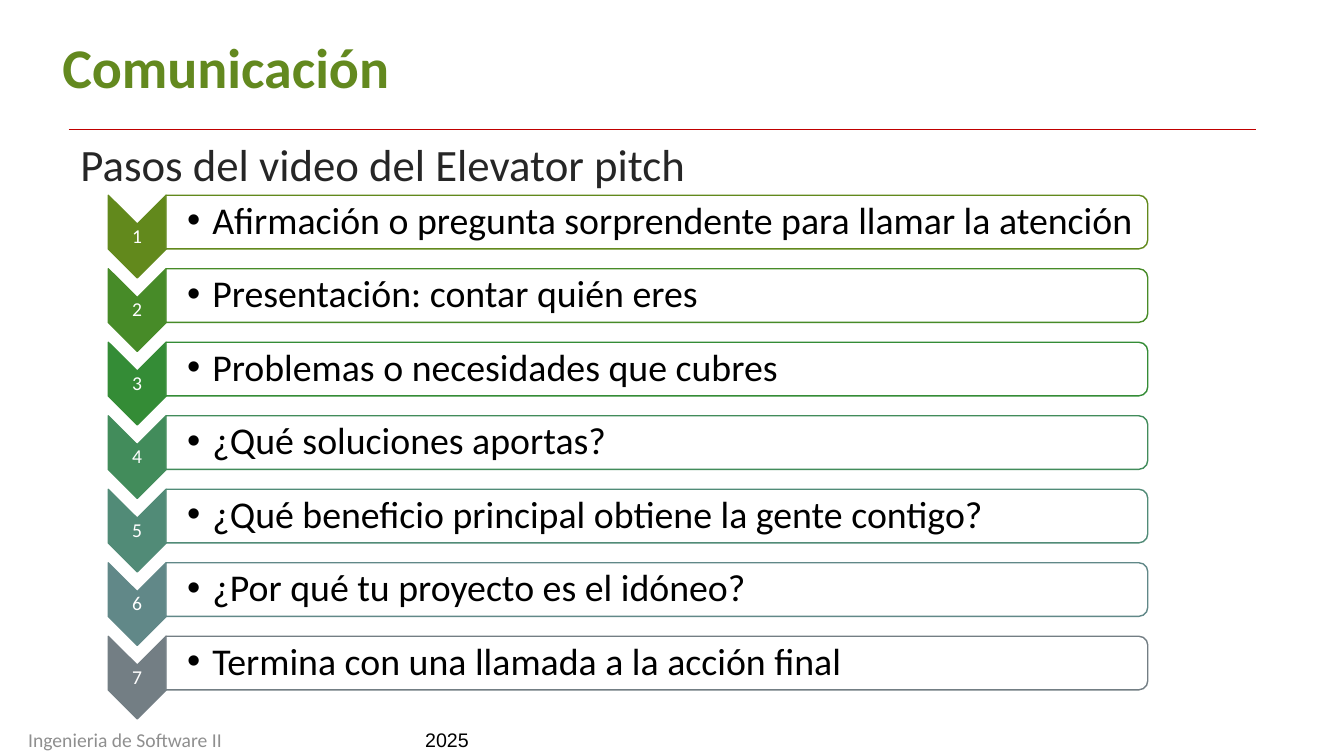
"""Build the slide with the seven steps of the elevator pitch video."""
from lxml import etree
from pptx import Presentation
from pptx.dml.color import RGBColor
from pptx.enum import shapes, text
from pptx.oxml import ns
from pptx.util import Pt

BLACK = RGBColor(0x00, 0x00, 0x00)
WHITE = RGBColor(0xFF, 0xFF, 0xFF)
RED = RGBColor(0xC0, 0x00, 0x00)
GREY = RGBColor(0x8F, 0x8F, 0x8F)
CHARCOAL = RGBColor(0x26, 0x26, 0x26)
GREEN = RGBColor(0x63, 0x89, 0x1F)

STEPS = [
    ("Afirmación o pregunta sorprendente para llamar la atención", RGBColor(0x62, 0x89, 0x1C)),
    ("Presentación: contar quién eres", RGBColor(0x47, 0x8B, 0x28)),
    ("Problemas o necesidades que cubres", RGBColor(0x34, 0x8C, 0x36)),
    ("¿Qué soluciones aportas?", RGBColor(0x42, 0x8C, 0x5B)),
    ("¿Qué beneficio principal obtiene la gente contigo?", RGBColor(0x51, 0x8B, 0x77)),
    ("¿Por qué tu proyecto es el idóneo?", RGBColor(0x61, 0x88, 0x88)),
    ("Termina con una llamada a la acción final", RGBColor(0x73, 0x7E, 0x84)),
]
STEP_PITCH = 52.5

deck = Presentation()
deck.slide_width, deck.slide_height = Pt(960), Pt(540)
slide = deck.slides.add_slide(deck.slide_layouts[6])


def add_text(words, left, top, width, height, size, color, font="Calibri", bold=False,
             insets=(7.2, 3.6, 7.2, 3.6), anchor=text.MSO_ANCHOR.TOP,
             align=text.PP_ALIGN.LEFT, spacing=1.0, bullet=False):
    frame = slide.shapes.add_textbox(Pt(left), Pt(top), Pt(width), Pt(height)).text_frame
    frame.word_wrap = True
    frame.vertical_anchor = anchor
    frame.margin_left, frame.margin_top, frame.margin_right, frame.margin_bottom = map(Pt, insets)
    paragraph = frame.paragraphs[0]
    paragraph.alignment = align
    paragraph.line_spacing = spacing
    if bullet:
        properties = paragraph._p.get_or_add_pPr()
        properties.set("marL", str(Pt(18)))
        properties.set("indent", str(Pt(-18)))
        bullet_color = etree.SubElement(properties, ns.qn("a:buClr"))
        etree.SubElement(bullet_color, ns.qn("a:srgbClr"), val=str(color))
        etree.SubElement(properties, ns.qn("a:buFont"), typeface="Arial")
        etree.SubElement(properties, ns.qn("a:buChar"), char="•")
    run = paragraph.add_run()
    run.text = words
    run.font.name, run.font.size, run.font.bold = font, Pt(size), bold
    run.font.color.rgb = color


def add_turned_shape(preset, center_x, center_y, width, height, fill, line, adjustments):
    shape = slide.shapes.add_shape(preset, Pt(center_x - width / 2), Pt(center_y - height / 2),
                                   Pt(width), Pt(height))
    shape.rotation = 90
    shape.shadow.inherit = False
    for index, value in enumerate(adjustments):
        shape.adjustments[index] = value
    shape.fill.solid()
    shape.fill.fore_color.rgb = fill
    shape.line.color.rgb = line
    shape.line.width = Pt(1)
    return shape


title_rule = slide.shapes.add_connector(shapes.MSO_CONNECTOR.STRAIGHT,
                                        Pt(49), Pt(92.2), Pt(897), Pt(92.2))
title_rule.line.color.rgb = RED
title_rule.line.width = Pt(0.75)
etree.SubElement(title_rule._element.spPr, ns.qn("a:effectLst"))

add_text("2025", 296.6, 516.2, 64.8, 24.5, 14, BLACK, font="Arial")
add_text("Ingenieria de Software II", 13, 516.2, 170, 16.6, 14, GREY)
add_text("Comunicación", 37.4, 0.7, 851, 100, 40, GREEN, bold=True,
         anchor=text.MSO_ANCHOR.MIDDLE, spacing=0.85)
add_text("Pasos del video del Elevator pitch", 50.4, 94.3, 771, 352.8, 32, CHARCOAL)

for number, (step, color) in enumerate(STEPS, start=1):
    offset = (number - 1) * STEP_PITCH
    add_turned_shape(shapes.MSO_SHAPE.CHEVRON, 98, 169 + offset, 59, 41.3, color, color, [0.5])
    add_text(str(number), 77.5, 160.2 + offset, 41, 18, 14, WHITE, insets=(0.7,) * 4,
             anchor=text.MSO_ANCHOR.MIDDLE, align=text.PP_ALIGN.CENTER, spacing=0.9)
    step_bar = add_turned_shape(shapes.MSO_SHAPE.ROUND_2_SAME_RECTANGLE, 469.2, 158.6 + offset,
                                38.3, 701.3, WHITE, color, [0.167, 0])
    bar_fill = step_bar._element.spPr.find(".//" + ns.qn("a:srgbClr"))
    etree.SubElement(bar_fill, ns.qn("a:alpha"), val="88000")
    add_text(step, 118.6, 141.3 + offset, 699.3, 34.6, 27, BLACK, insets=(15.1, 1.4, 1.4, 1.4),
             anchor=text.MSO_ANCHOR.MIDDLE, spacing=0.9, bullet=True)

deck.save("out.pptx")
